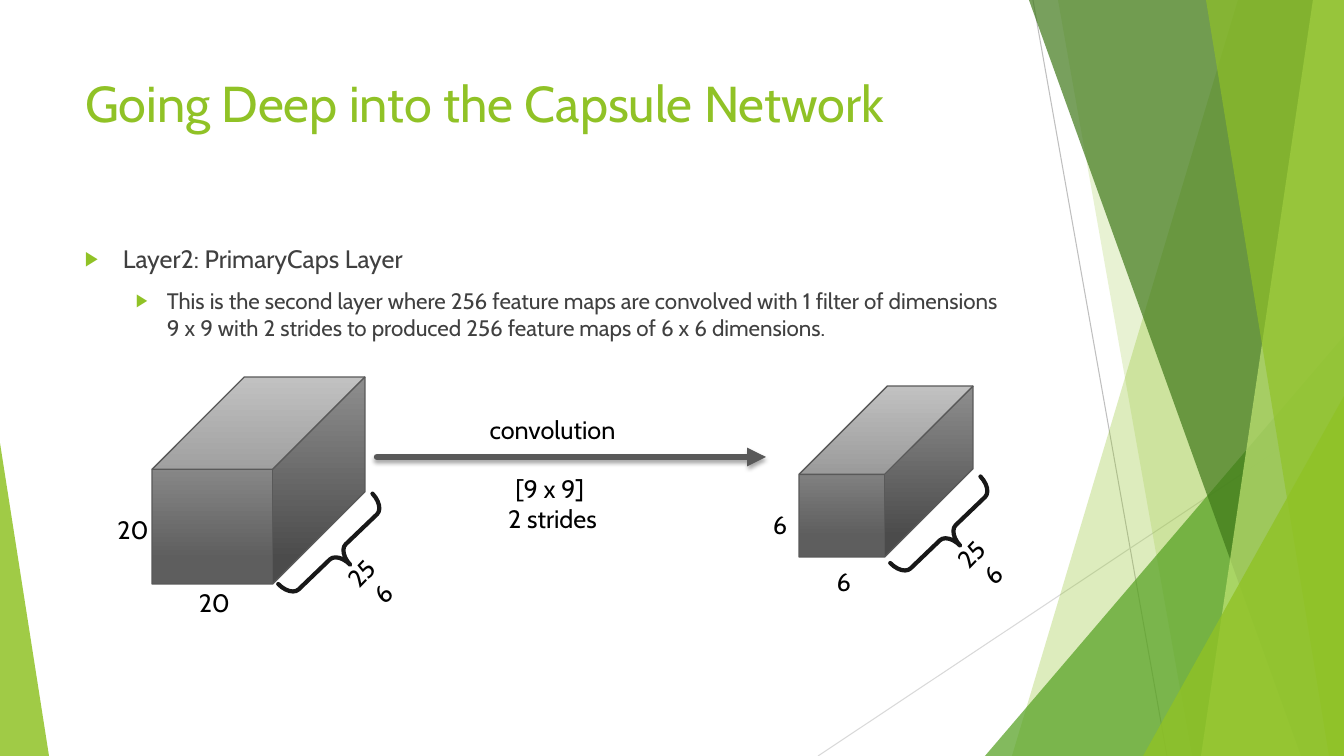
from lxml import etree
from pptx import Presentation, util as u
from pptx.dml.color import RGBColor
from pptx.enum import shapes as sh, text as tx
from pptx.oxml import ns

LIME = RGBColor(0x90, 0xC2, 0x26)
GREEN = RGBColor(0x54, 0xA0, 0x21)
DARK = RGBColor(0x3F, 0x78, 0x19)
PALE = RGBColor(0xC0, 0xE4, 0x74)
BLACK = RGBColor(0, 0, 0)
INK = RGBColor(0x40, 0x40, 0x40)
EDGE = RGBColor(0x59, 0x59, 0x59)
BRACE = RGBColor(0x18, 0x18, 0x18)
LIGHT = RGBColor(0xB2, 0xB2, 0xB2)
SHADE = RGBColor(0x5E, 0x5E, 0x5E)
RULE = RGBColor(0xBF, 0xBF, 0xBF)
MIST = RGBColor(0xD9, 0xD9, 0xD9)
FONT = "Cabin"
WIDE, HIGH = 1344, 756


def px(n):
    return round(n * 914400 / 100.8)


def add(node, tag, **attrs):
    kid = etree.SubElement(node, ns.qn(tag))
    for key, val in attrs.items():
        kid.set(key, str(val))
    return kid


def write(para, words, size=18, color=BLACK, align=tx.PP_ALIGN.CENTER):
    para.alignment = align
    run = para.add_run()
    run.text = words
    run.font.size = u.Pt(size)
    run.font.name = FONT
    run.font.color.rgb = color


def frame(slide, x, y, w, h):
    box = slide.shapes.add_textbox(px(x), px(y), px(w), px(h))
    box.text_frame.word_wrap = True
    return box


def label(slide, words, x, y, w, h=40, turn=0):
    box = frame(slide, x, y, w, h)
    box.rotation = turn
    body = box.text_frame
    body.auto_size = tx.MSO_AUTO_SIZE.SHAPE_TO_FIT_TEXT
    for i, line in enumerate(words):
        write(body.add_paragraph() if i else body.paragraphs[0], line)


def shape(slide, kind, x, y, w, h, adj):
    part = slide.shapes.add_shape(kind, px(x), px(y), px(w), px(h))
    part.shadow.inherit = False
    for i, val in enumerate(adj):
        part.adjustments[i] = val
    return part


def tint(part, color, alpha):
    part.shadow.inherit = False
    part.fill.solid()
    part.fill.fore_color.rgb = color
    part.line.fill.background()
    node = part.fill._xPr.find(".//" + ns.qn("a:srgbClr"))
    add(node, "a:alpha", val=alpha * 1000)


def rule(slide, x1, y1, x2, y2, color, width):
    line = slide.shapes.add_connector(
        sh.MSO_CONNECTOR.STRAIGHT, px(x1), px(y1), px(x2), px(y2))
    line.line.color.rgb = color
    line.line.width = u.Pt(width)
    return line, add(line._element.spPr, "a:effectLst")


def decor(slide):
    rule(slide, 1033, 0, 1167, HIGH, RULE, 0.75)
    rule(slide, WIDE, 406, 818, HIGH, MIST, 0.75)

    def band(top, foot, color, alpha):
        path = slide.shapes.build_freeform(px(top), 0, scale=1.0)
        path.add_line_segments([(px(WIDE), 0), (px(WIDE), px(HIGH)),
                                (px(foot), px(HIGH))], close=True)
        tint(path.convert_to_shape(), color, alpha)

    def wedge(x, y, w, tip, color, alpha):
        part = shape(slide, sh.MSO_SHAPE.ISOSCELES_TRIANGLE,
                     x, y, w, HIGH - y, [tip])
        tint(part, color, alpha)

    band(1238, 1012, LIME, 30)
    band(1058, 1192, LIME, 20)
    wedge(985, 336, 359, 1, GREEN, 72)
    band(1029, 1301, DARK, 70)
    band(1313, 1201, PALE, 70)
    band(1206, 1329, LIME, 65)
    wedge(1143, 396, 201, 1, LIME, 80)
    wedge(0, 443, 49, 0, LIME, 85)


def heading(slide, x, y, w, h):
    title = slide.shapes.title
    title.left, title.top, title.width, title.height = map(px, (x, y, w, h))
    body = title.text_frame
    body.vertical_anchor = tx.MSO_ANCHOR.TOP
    write(body.paragraphs[0], "Going Deep into the Capsule Network",
          size=36, color=LIME, align=tx.PP_ALIGN.LEFT)
    slide.shapes._spTree.append(title._element)


def points(slide, x, y, w, h):
    body = frame(slide, x, y, w, h).text_frame
    rows = [
        (0, "Layer2: PrimaryCaps Layer", 18, 38, 38),
        (1, "This is the second layer where 256 feature maps are convolved "
            "with 1 filter of dimensions 9 x 9 with 2 strides to produced "
            "256 feature maps of 6 x 6 dimensions.", 16, 82, 31),
    ]
    for level, words, size, left, hang in rows:
        para = body.add_paragraph() if level else body.paragraphs[0]
        para.level = level
        para.space_before = u.Pt(10)
        write(para, words, size=size, color=INK, align=tx.PP_ALIGN.LEFT)
        props = para._p.get_or_add_pPr()
        props.set("marL", str(px(left)))
        props.set("indent", str(-px(hang)))
        add(add(props, "a:buClr"), "a:srgbClr", val=LIME)
        add(props, "a:buSzPct", val=80000)
        add(props, "a:buFont", typeface=FONT)
        add(props, "a:buChar", char="▶")


def block(slide, x, y, w, h, adj, side, drop):
    cube = shape(slide, sh.MSO_SHAPE.CUBE, x, y, w, h, [adj])
    cube.fill.gradient()
    cube.fill.gradient_angle = 270
    for stop, spot, color in zip(cube.fill.gradient_stops, (0, 0.88),
                                 (LIGHT, SHADE)):
        stop.position = spot
        stop.color.rgb = color
    cube.line.color.rgb = EDGE
    cube.line.width = u.Pt(1)

    deep = adj * min(w, h)
    midx, midy = x + w - deep / 2, y + h - deep / 2
    span = deep * 2 ** 0.5
    brace = shape(slide, sh.MSO_SHAPE.RIGHT_BRACE, midx + 1,
                  midy + 14 + drop - span / 2, 36, span, [0.304, 0.5])
    brace.rotation = 46.2
    brace.fill.background()
    brace.line.color.rgb = BRACE
    brace.line.width = u.Pt(3)
    brace.line._get_or_add_ln().set("cap", "rnd")

    label(slide, ["256"], midx + 12, midy + 15 + drop, 60, turn=313.9)
    label(slide, [side], x + (w - deep) / 2 - 30, y + h - 2 + drop, 64)
    label(slide, [side], x - 51, y + (h + deep) / 2 - 17 + drop, 64)


def step(slide, x, y, w):
    line, fx = rule(slide, x, y, x + w, y, EDGE, 4.5)
    ln = line.line._get_or_add_ln()
    ln.set("cap", "rnd")
    add(ln, "a:tailEnd", type="triangle")
    cast = add(fx, "a:outerShdw", blurRad=u.Pt(3), dist=u.Pt(2),
               dir=5400000, rotWithShape=0)
    add(add(cast, "a:srgbClr", val=BLACK), "a:alpha", val=35000)
    label(slide, ["convolution"], x + 95, y - 48, 161)
    label(slide, ["[9 x 9] ", "2 strides"], x + 95, y + 11, 161, h=72)


def main():
    deck = Presentation()
    deck.slide_width, deck.slide_height = px(WIDE), px(HIGH)
    slide = deck.slides.add_slide(deck.slide_layouts[5])
    decor(slide)
    heading(slide, 75, 67, 947, 145)
    points(slide, 75, 238, 947, 427)
    block(slide, 152, 377, 213, 207, 0.446, "20", 0)
    step(slide, 377, 457, 389)
    block(slide, 799, 386, 174, 171, 0.517, "6", 6)
    deck.save("out.pptx")


if __name__ == "__main__":
    main()
